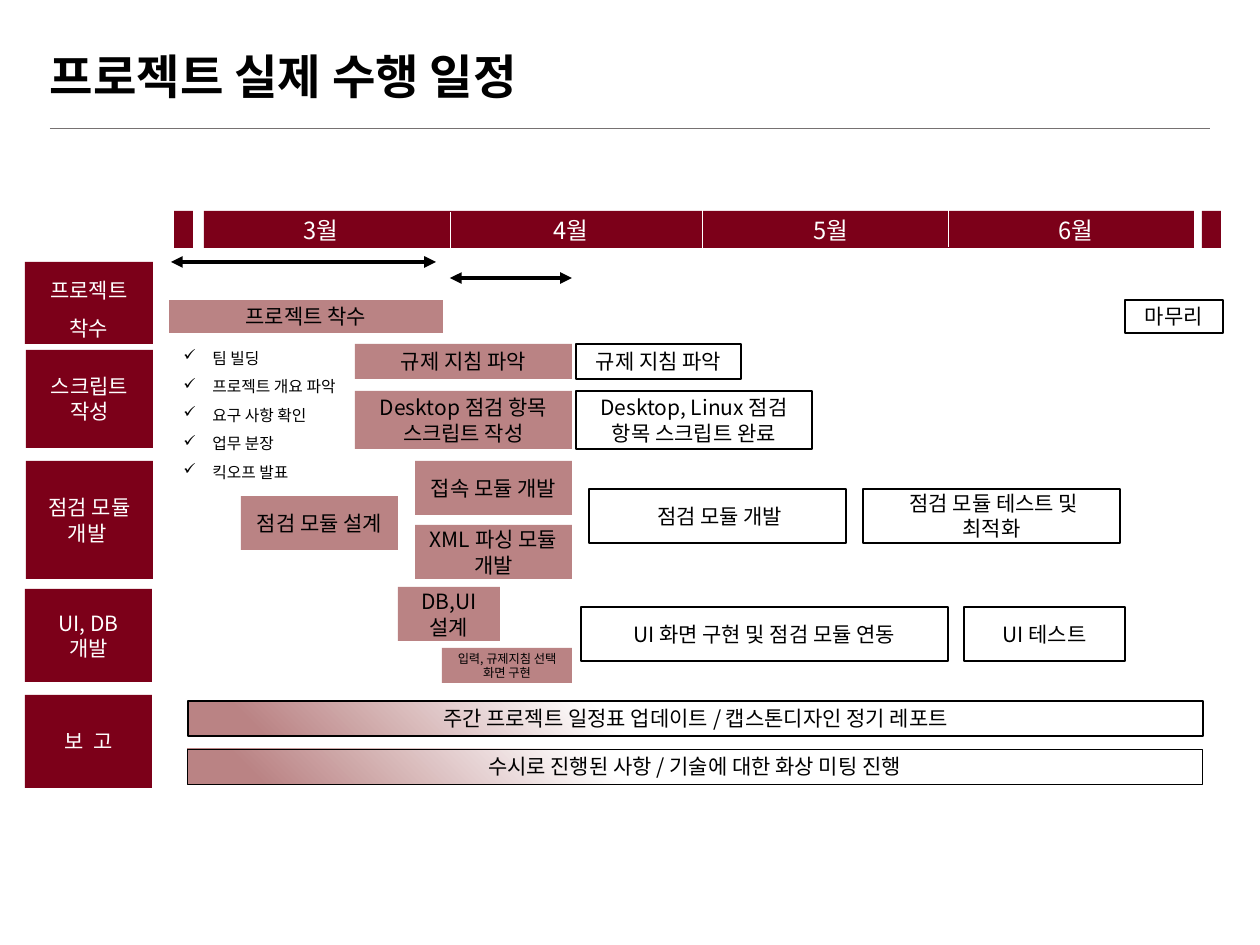
from lxml import etree
from pptx import Presentation
from pptx.dml.color import RGBColor
from pptx.enum.shapes import MSO_CONNECTOR, MSO_SHAPE
from pptx.enum.text import MSO_ANCHOR, MSO_AUTO_SIZE, PP_ALIGN
from pptx.oxml.ns import qn
from pptx.util import Emu, Pt

RECT = MSO_SHAPE.RECTANGLE
STRAIGHT = MSO_CONNECTOR.STRAIGHT
MIDDLE, TOP = MSO_ANCHOR.MIDDLE, MSO_ANCHOR.TOP
LEFT, CENTER = PP_ALIGN.LEFT, PP_ALIGN.CENTER
GROW, FIXED = MSO_AUTO_SIZE.SHAPE_TO_FIT_TEXT, MSO_AUTO_SIZE.NONE

SCALE = 914400 // 126
FONT = "Noto Sans CJK KR"
WINE, ROSE, BLACK, WHITE, GREY = "7C0019", "BA8384", "000000", "FFFFFF", "767171"

HEADER_BARS = [(174, 19), (204, 990), (1202, 19)]
MONTHS = [("3월", 291, 68), ("4월", 541, 81), ("5월", 801, 81), ("6월", 1046, 79)]
DIVIDERS = [(450, 212), (702, 209), (948, 208)]
SPANS = [(171, 436, 262), (450, 572, 278)]
STAGES = [
    ("스크립트\n작성", 26, 350, 127, 98),
    ("점검 모듈\n개발 ", 26, 461, 127, 118),
    ("UI, DB\n개발", 25, 589, 127, 93),
    ("보  고", 25, 695, 127, 93),
]
DONE = [
    ("프로젝트 착수", 169, 300, 274, 33),
    ("규제 지침 파악", 355, 344, 217, 35),
    ("Desktop 점검 항목 스크립트 작성", 355, 391, 217, 58),
    ("접속 모듈 개발", 415, 461, 157, 54),
    ("XML 파싱 모듈 개발", 415, 525, 157, 54),
    ("DB,UI 설계", 398, 587, 102, 54),
    ("점검 모듈 설계", 241, 496, 157, 54),
]
PLANNED = [
    ("규제 지침 파악", 576, 344, 165, 35),
    ("Desktop, Linux 점검 항목 스크립트 완료", 576, 391, 236, 58),
    (" 점검 모듈 개발", 589, 489, 257, 54),
    (" 점검 모듈 테스트 및\n최적화", 863, 489, 257, 54),
    ("UI 화면 구현 및 점검 모듈 연동", 581, 607, 367, 54),
    ("UI 테스트", 964, 607, 161, 54),
    ("마무리", 1125, 300, 98, 33),
]
REPORTS = [
    ("주간 프로젝트 일정표 업데이트 / 캡스톤디자인 정기 레포트", 188, 701, 0.75),
    ("수시로 진행된 사항 / 기술에 대한 화상 미팅 진행", 187, 749, 0.25),
]
KICKOFF_TASKS = "팀 빌딩\n프로젝트 개요 파악\n요구 사항 확인\n업무 분장\n킥오프 발표"


def px(n):
    return Emu(n * SCALE)


def rgb(value):
    return RGBColor.from_string(value)


def add_bullet(p, char, indent):
    pPr = p._p.get_or_add_pPr()
    pPr.set("marL", str(px(indent)))
    pPr.set("indent", str(-px(indent)))
    etree.SubElement(pPr, qn("a:buChar")).set("char", char)


def write(tf, text, size=12, color=BLACK, font=FONT, bold=False, align=CENTER,
          anchor=MIDDLE, spacing=None, bullet=None, fit=FIXED):
    tf.word_wrap = True
    tf.auto_size = fit
    tf.vertical_anchor = anchor
    for i, line in enumerate(text.split("\n")):
        p = tf.add_paragraph() if i else tf.paragraphs[0]
        if bullet:
            add_bullet(p, bullet, 29)
        p.alignment = align
        if spacing:
            p.line_spacing = spacing
        r = p.add_run()
        r.text = line
        r.font.name = font
        r.font.size = Pt(size)
        r.font.bold = bold
        r.font.color.rgb = rgb(color)
        etree.SubElement(r._r.get_or_add_rPr(), qn("a:ea")).set("typeface", FONT)


def add_box(s, x, y, w, h, text="", fill=None, line=None, **fmt):
    sp = s.shapes.add_shape(RECT, px(x), px(y), px(w), px(h))
    sp.shadow.inherit = False
    if fill:
        sp.fill.solid()
        sp.fill.fore_color.rgb = rgb(fill)
    else:
        sp.fill.background()
    if line:
        sp.line.color.rgb = rgb(BLACK)
        sp.line.width = Pt(line)
    else:
        sp.line.fill.background()
    if text:
        write(sp.text_frame, text, **fmt)
    return sp


def add_text(s, x, y, w, h, text, **fmt):
    sp = s.shapes.add_textbox(px(x), px(y), px(w), px(h))
    write(sp.text_frame, text, align=LEFT, anchor=TOP, fit=GROW, **fmt)


def add_line(s, x1, y1, x2, y2, color, width, arrows=False):
    cx = s.shapes.add_connector(STRAIGHT, px(x1), px(y1), px(x2), px(y2))
    cx.line.color.rgb = rgb(color)
    cx.line.width = Pt(width)
    if arrows:
        for end in ("a:headEnd", "a:tailEnd"):
            etree.SubElement(cx.line._get_or_add_ln(), qn(end)).set("type", "triangle")
    etree.SubElement(cx._element.spPr, qn("a:effectLst"))


def fade_from_corner(sp):
    sp.fill.gradient()
    for stop, position, color in zip(sp.fill.gradient_stops, (0.07, 0.42), (ROSE, WHITE)):
        stop.position = position
        stop.color.rgb = rgb(color)
    grad = sp._element.spPr.find(qn("a:gradFill"))
    grad.remove(grad.find(qn("a:lin")))
    shade = etree.Element(qn("a:path"))
    shade.set("path", "circle")
    focus = etree.SubElement(shade, qn("a:fillToRect"))
    focus.set("t", "100000")
    focus.set("r", "100000")
    grad.find(qn("a:gsLst")).addnext(shade)


def add_title(s, text):
    title = s.shapes.title
    title.left, title.top, title.width, title.height = px(37), px(31), px(1186), px(96)
    write(title.text_frame, text, size=27, font="Arial", bold=True, align=LEFT, spacing=0.9)
    add_line(s, 50, 128, 1210, 128, GREY, 0.5)


def add_timeline(s):
    for x, w in HEADER_BARS:
        add_box(s, x, 211, w, 37, fill=WINE)
    for month, x, w in MONTHS:
        add_text(s, x, 210, w, 42, month, size=13.5, color=WHITE)
    for x, y in DIVIDERS:
        add_line(s, x, y, x, y + 39, WHITE, 0.5)
    for start, end, y in SPANS:
        add_line(s, start, y, end, y, BLACK, 2.25, arrows=True)


def main():
    prs = Presentation()
    prs.slide_width, prs.slide_height = px(1260), px(945)
    s = prs.slides.add_slide(prs.slide_layouts[5])
    add_title(s, "프로젝트 실제 수행 일정")
    add_timeline(s)
    add_box(s, 25, 262, 128, 82, "프로젝트\n착수", WINE, color=WHITE, spacing=1.5)
    for text, *place in STAGES:
        add_box(s, *place, text, WINE, color=WHITE)
    add_text(s, 171, 333, 189, 152, KICKOFF_TASKS, size=9, spacing=1.5, bullet="✓")
    for text, *place in DONE:
        add_box(s, *place, text, ROSE)
    add_box(s, 442, 648, 130, 35, "입력, 규제지침 선택 화면 구현", ROSE, size=7)
    for text, *place in PLANNED:
        add_box(s, *place, text, line=1.5)
    for text, x, y, line in REPORTS:
        fade_from_corner(add_box(s, x, y, 1015, 35, text, line=line))
    prs.save("out.pptx")


if __name__ == "__main__":
    main()
